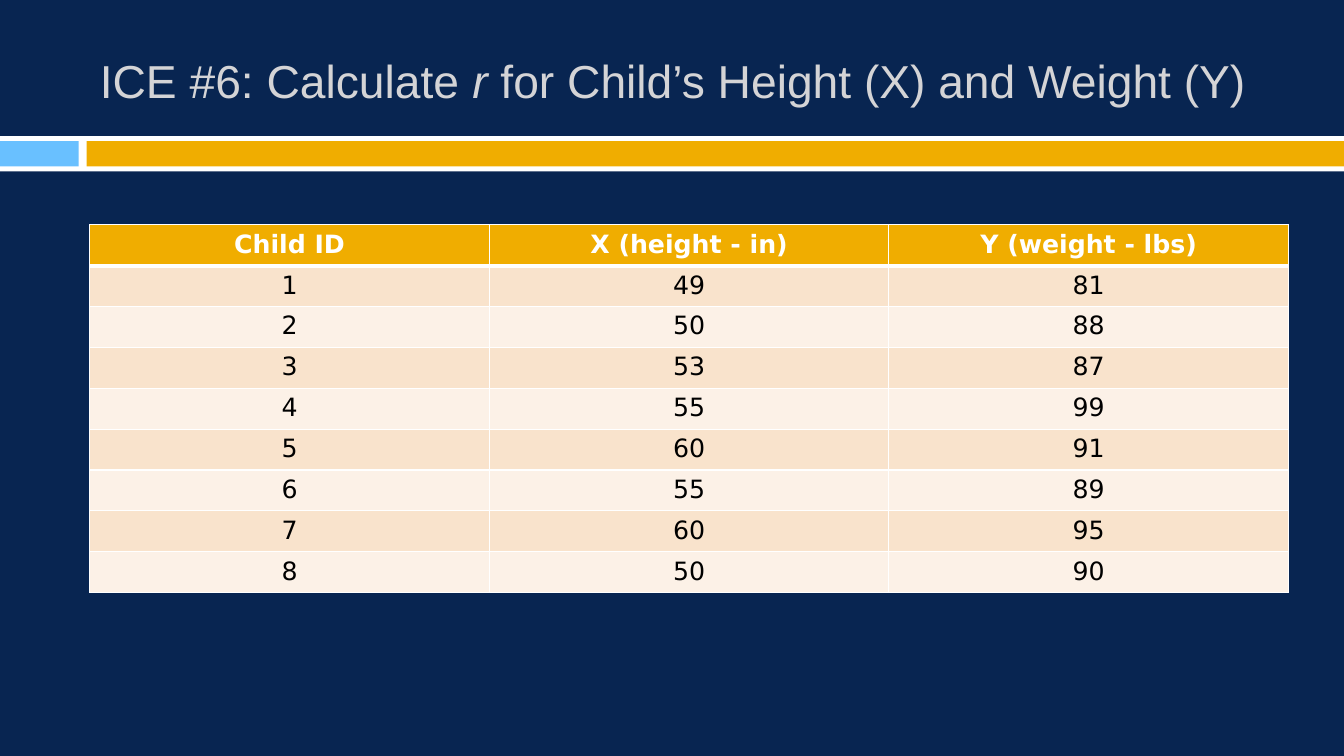
"""Builds the child height and weight table slide."""
from dataclasses import dataclass

from lxml import etree
from pptx import Presentation
from pptx.dml.color import RGBColor
from pptx.enum.shapes import MSO_SHAPE
from pptx.enum.text import MSO_ANCHOR, PP_ALIGN
from pptx.oxml.ns import qn
from pptx.util import Inches, Pt

RECTANGLE = MSO_SHAPE.RECTANGLE
MIDDLE = MSO_ANCHOR.MIDDLE
LEFT, CENTER = PP_ALIGN.LEFT, PP_ALIGN.CENTER
TITLE_ONLY = 5

PAGE_WIDTH, PAGE_HEIGHT = 13.33, 7.5
MARGIN, CONTENT_WIDTH = 0.89, 11.89
TABLE_TOP, TABLE_HEIGHT = 2.23, 3.65

TITLE = [("ICE #6: Calculate ", False), ("r", True),
         (" for Child’s Height (X) and Weight (Y)", False)]
HEADINGS = ("Child ID", "X (height - in)", "Y (weight - lbs)")
HEIGHTS = (49, 50, 53, 55, 60, 55, 60, 50)
WEIGHTS = (81, 88, 87, 99, 91, 89, 95, 90)


@dataclass(frozen=True)
class Theme:
    """Colours, fonts and sizes of the slide."""
    background: str = "082551"
    white: str = "FFFFFF"
    black: str = "000000"
    blue: str = "69C0FF"
    gold: str = "F0AD00"
    title: str = "D4D4D6"
    bands: tuple = ("F9E3CC", "FCF1E7")
    title_font: str = "Arial"
    table_font: str = "DejaVu Sans"
    title_size: int = 33
    table_size: int = 18
    grid_line: int = 1
    header_line: int = 3


class SlideBuilder:
    """Adds styled elements to the current slide."""

    def __init__(self, page, theme):
        self.page = page
        self.theme = theme
        fill = page.background.fill
        fill.solid()
        fill.fore_color.rgb = RGBColor.from_string(theme.background)

    def span(self, para, text, font, size, color, bold=False, italic=False):
        """Adds one formatted run."""
        span = para.add_run()
        span.text = text
        span.font.name = font
        span.font.size = Pt(size)
        span.font.bold = bold
        span.font.italic = italic
        span.font.color.rgb = RGBColor.from_string(color)

    def title(self, parts, left, top, width, height):
        """Places the title placeholder and fills it."""
        box = self.page.shapes.title
        box.left, box.top = Inches(left), Inches(top)
        box.width, box.height = Inches(width), Inches(height)
        frame = box.text_frame
        frame.word_wrap = True
        frame.vertical_anchor = MIDDLE
        para = frame.paragraphs[0]
        para.alignment = LEFT
        for text, italic in parts:
            self.span(para, text, self.theme.title_font,
                      self.theme.title_size, self.theme.title, italic=italic)

    def bar(self, color, left, top, width, height):
        """Adds a plain filled rectangle."""
        shape = self.page.shapes.add_shape(
            RECTANGLE, Inches(left), Inches(top), Inches(width), Inches(height))
        shape.shadow.inherit = False
        shape.fill.solid()
        shape.fill.fore_color.rgb = RGBColor.from_string(color)
        shape.line.fill.background()

    def border(self, cell, side, points):
        """Draws one white cell border."""
        properties = cell._tc.get_or_add_tcPr()
        line = etree.SubElement(properties, qn(f"a:ln{side}"), w=str(Pt(points)))
        fill = etree.SubElement(line, qn("a:solidFill"))
        etree.SubElement(fill, qn("a:srgbClr"), val=self.theme.white)

    def cell(self, cell, text, row):
        """Fills and formats one table cell."""
        theme = self.theme
        header = row == 0
        heavy_side = {0: "B", 1: "T"}.get(row)
        for side in "LRTB":
            self.border(cell, side, theme.header_line if side == heavy_side
                        else theme.grid_line)
        cell.fill.solid()
        cell.fill.fore_color.rgb = RGBColor.from_string(
            theme.gold if header else theme.bands[(row - 1) % 2])
        para = cell.text_frame.paragraphs[0]
        para.alignment = CENTER
        self.span(para, str(text), theme.table_font, theme.table_size,
                  theme.white if header else theme.black, bold=header)

    def table(self, rows, left, top, width, height):
        """Adds a table with equal rows and columns."""
        table = self.page.shapes.add_table(
            len(rows), len(rows[0]), Inches(left), Inches(top),
            Inches(width), Inches(height)).table
        for row, values in enumerate(rows):
            for column, value in enumerate(values):
                self.cell(table.cell(row, column), value, row)


def main():
    deck = Presentation()
    deck.slide_width, deck.slide_height = Inches(PAGE_WIDTH), Inches(PAGE_HEIGHT)
    theme = Theme()
    page = deck.slides.add_slide(deck.slide_layouts[TITLE_ONLY])
    builder = SlideBuilder(page, theme)

    builder.bar(theme.white, 0, 1.35, PAGE_WIDTH, 0.35)
    builder.bar(theme.blue, 0, 1.4, 0.78, 0.25)
    builder.bar(theme.gold, 0.86, 1.4, PAGE_WIDTH - 0.86, 0.25)
    builder.title(TITLE, MARGIN, 0.25, CONTENT_WIDTH, 1.08)

    children = range(1, len(HEIGHTS) + 1)
    rows = [HEADINGS, *zip(children, HEIGHTS, WEIGHTS)]
    builder.table(rows, MARGIN, TABLE_TOP, CONTENT_WIDTH, TABLE_HEIGHT)
    deck.save("out.pptx")


if __name__ == "__main__":
    main()
